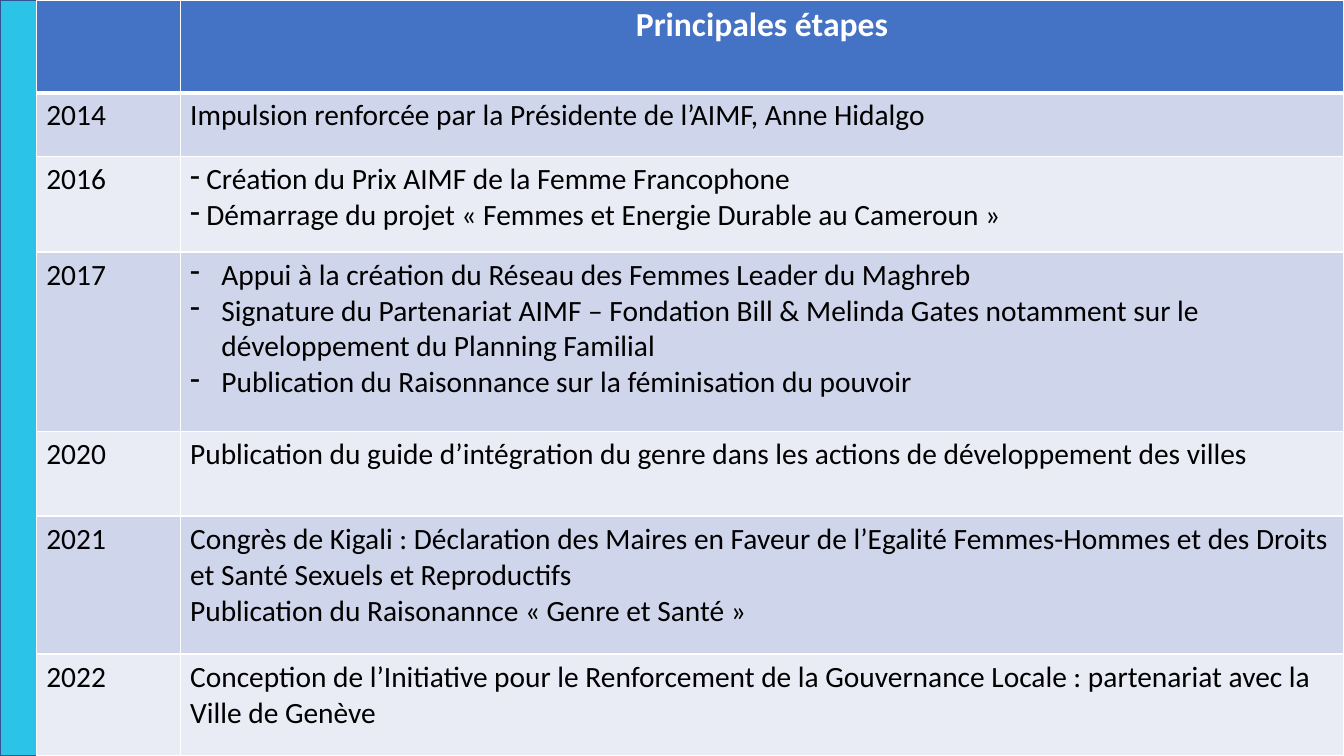
from lxml import etree
from pptx import Presentation
from pptx.dml.color import RGBColor
from pptx.enum.shapes import MSO_SHAPE
from pptx.enum.text import PP_ALIGN
from pptx.oxml.ns import qn
from pptx.util import Inches, Pt

RECTANGLE = MSO_SHAPE.RECTANGLE
LEFT, CENTER = PP_ALIGN.LEFT, PP_ALIGN.CENTER

WHITE = RGBColor(0xFF, 0xFF, 0xFF)
BLACK = RGBColor(0x00, 0x00, 0x00)
CYAN = RGBColor(0x2C, 0xC3, 0xE9)
NAVY = RGBColor(0x32, 0x54, 0x91)
HEADER_BLUE = RGBColor(0x44, 0x72, 0xC4)
BANDS = (RGBColor(0xCF, 0xD5, 0xEA), RGBColor(0xE9, 0xEB, 0xF5))

FONT = "Calibri"
SLIDE_WIDTH, SLIDE_HEIGHT = Inches(13.33), Inches(7.5)
STRIPE_SHARE = 0.027
YEAR_SHARE = 0.11
HEADER_ROW_HEIGHT = 0.92
HEADING = "Principales étapes"

MILESTONES = [
    ("2014", 0.63, 0, ["Impulsion renforcée par la Présidente de l’AIMF, Anne Hidalgo"]),
    ("2016", 0.95, 0.16, [
        "Création du Prix AIMF de la Femme Francophone",
        "Démarrage du projet « Femmes et Energie Durable au Cameroun »",
    ]),
    ("2017", 1.78, 0.31, [
        "Appui à la création du Réseau des Femmes Leader du Maghreb",
        "Signature du Partenariat AIMF – Fondation Bill & Melinda Gates notamment sur le "
        "développement du Planning Familial",
        "Publication du Raisonnance sur la féminisation du pouvoir",
    ]),
    ("2020", 0.84, 0, [
        "Publication du guide d’intégration du genre dans les actions de développement des villes",
    ]),
    ("2021", 1.37, 0, [
        "Congrès de Kigali : Déclaration des Maires en Faveur de l’Egalité Femmes-Hommes "
        "et des Droits et Santé Sexuels et Reproductifs",
        "Publication du Raisonannce « Genre et Santé »",
    ]),
    ("2022", 1.01, 0, [
        "Conception de l’Initiative pour le Renforcement de la Gouvernance Locale : "
        "partenariat avec la Ville de Genève",
    ]),
]


def write_text(frame, lines, size=21, color=BLACK, bold=False, align=LEFT, dash_indent=0):
    """Write one paragraph per line, with hanging dashes if an indent is given."""
    for index, line in enumerate(lines):
        paragraph = frame.paragraphs[0] if index == 0 else frame.add_paragraph()
        paragraph.alignment = align
        if dash_indent:
            properties = paragraph._p.get_or_add_pPr()
            properties.set("marL", str(Inches(dash_indent)))
            properties.set("indent", str(-Inches(dash_indent)))
            etree.SubElement(properties, qn("a:buChar"), char="-")
        run = paragraph.add_run()
        run.text = line
        run.font.name = FONT
        run.font.size = Pt(size)
        run.font.bold = bold
        run.font.color.rgb = color


def style_cell(cell, fill, top=1, bottom=1):
    """Give a cell its white borders and its fill."""
    properties = cell._tc.get_or_add_tcPr()
    for side, width in (("L", 1), ("R", 1), ("T", top), ("B", bottom)):
        border = etree.SubElement(properties, qn(f"a:ln{side}"), w=str(Pt(width)))
        border_fill = etree.SubElement(border, qn("a:solidFill"))
        etree.SubElement(border_fill, qn("a:srgbClr"), val=str(WHITE))
    cell.fill.solid()
    cell.fill.fore_color.rgb = fill


def add_stripe(slide, left, top, width, height):
    """Draw the cyan stripe that fills the given box."""
    stripe = slide.shapes.add_shape(RECTANGLE, left, top, width, height)
    stripe.shadow.inherit = False
    stripe.fill.solid()
    stripe.fill.fore_color.rgb = CYAN
    stripe.line.color.rgb = NAVY
    stripe.line.width = Pt(1)


def add_timeline(slide, left, top, width, height):
    """Fill the given box with the table of milestones by year."""
    heights = [HEADER_ROW_HEIGHT] + [milestone[1] for milestone in MILESTONES]
    table = slide.shapes.add_table(len(heights), 2, left, top, width, height).table
    table.columns[0].width = int(width * YEAR_SHARE)
    table.columns[1].width = width - table.columns[0].width
    for row, row_height in zip(table.rows, heights):
        row.height = int(height * row_height / sum(heights))

    for column in range(2):
        style_cell(table.cell(0, column), HEADER_BLUE, bottom=3)
    write_text(table.cell(0, 1).text_frame, [HEADING],
               size=24, color=WHITE, bold=True, align=CENTER)

    for row, (year, _, dash_indent, steps) in enumerate(MILESTONES, start=1):
        year_cell, steps_cell = table.cell(row, 0), table.cell(row, 1)
        for cell in (year_cell, steps_cell):
            style_cell(cell, BANDS[(row - 1) % 2], top=3 if row == 1 else 1)
        write_text(year_cell.text_frame, [year])
        write_text(steps_cell.text_frame, steps, dash_indent=dash_indent)


def main():
    """Build the slide and save it."""
    deck = Presentation()
    deck.slide_width, deck.slide_height = SLIDE_WIDTH, SLIDE_HEIGHT
    slide = deck.slides.add_slide(deck.slide_layouts[6])
    stripe_width = int(SLIDE_WIDTH * STRIPE_SHARE)
    add_stripe(slide, 0, 0, stripe_width, SLIDE_HEIGHT)
    add_timeline(slide, stripe_width, 0, SLIDE_WIDTH - stripe_width, SLIDE_HEIGHT)
    deck.save("out.pptx")


if __name__ == "__main__":
    main()
